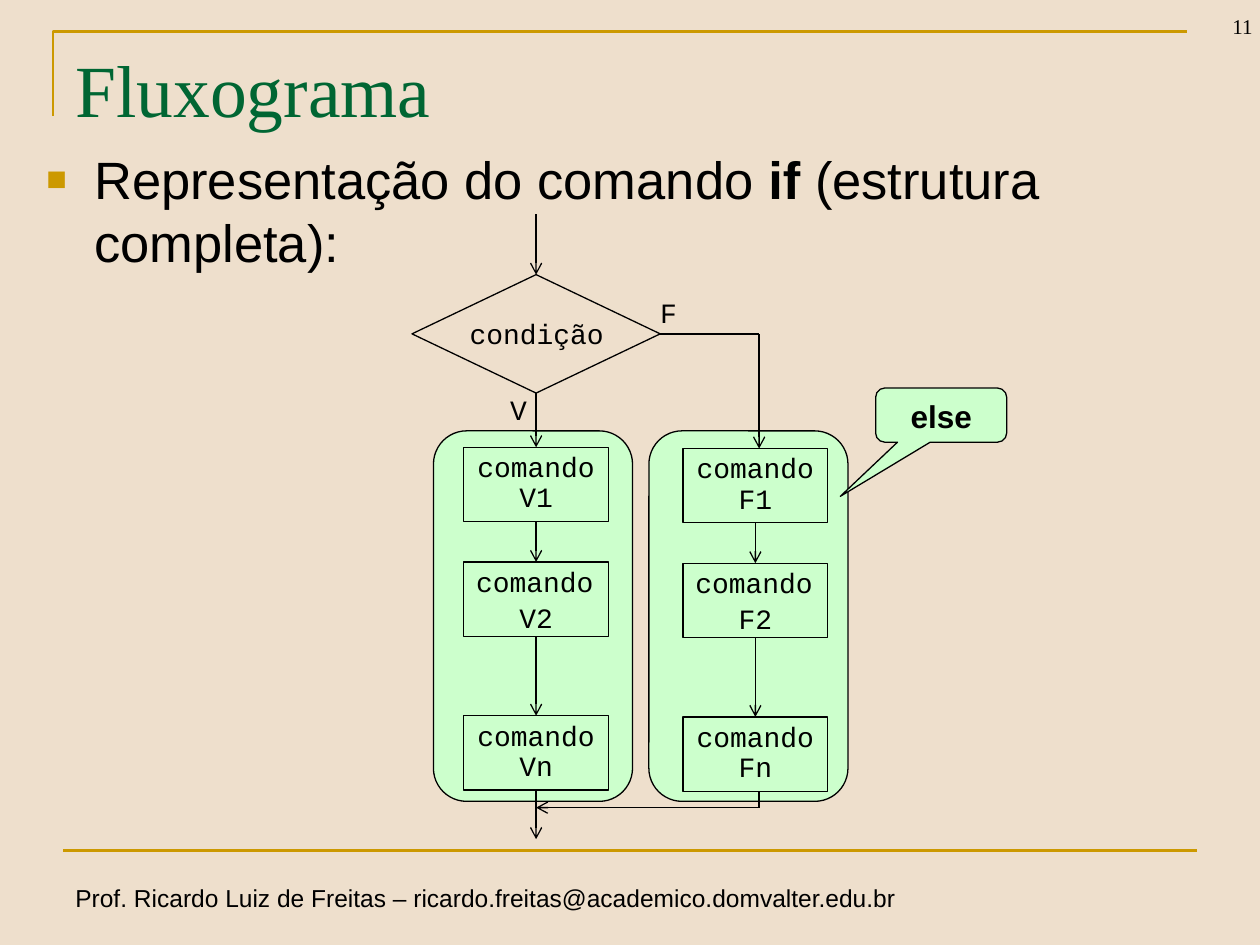
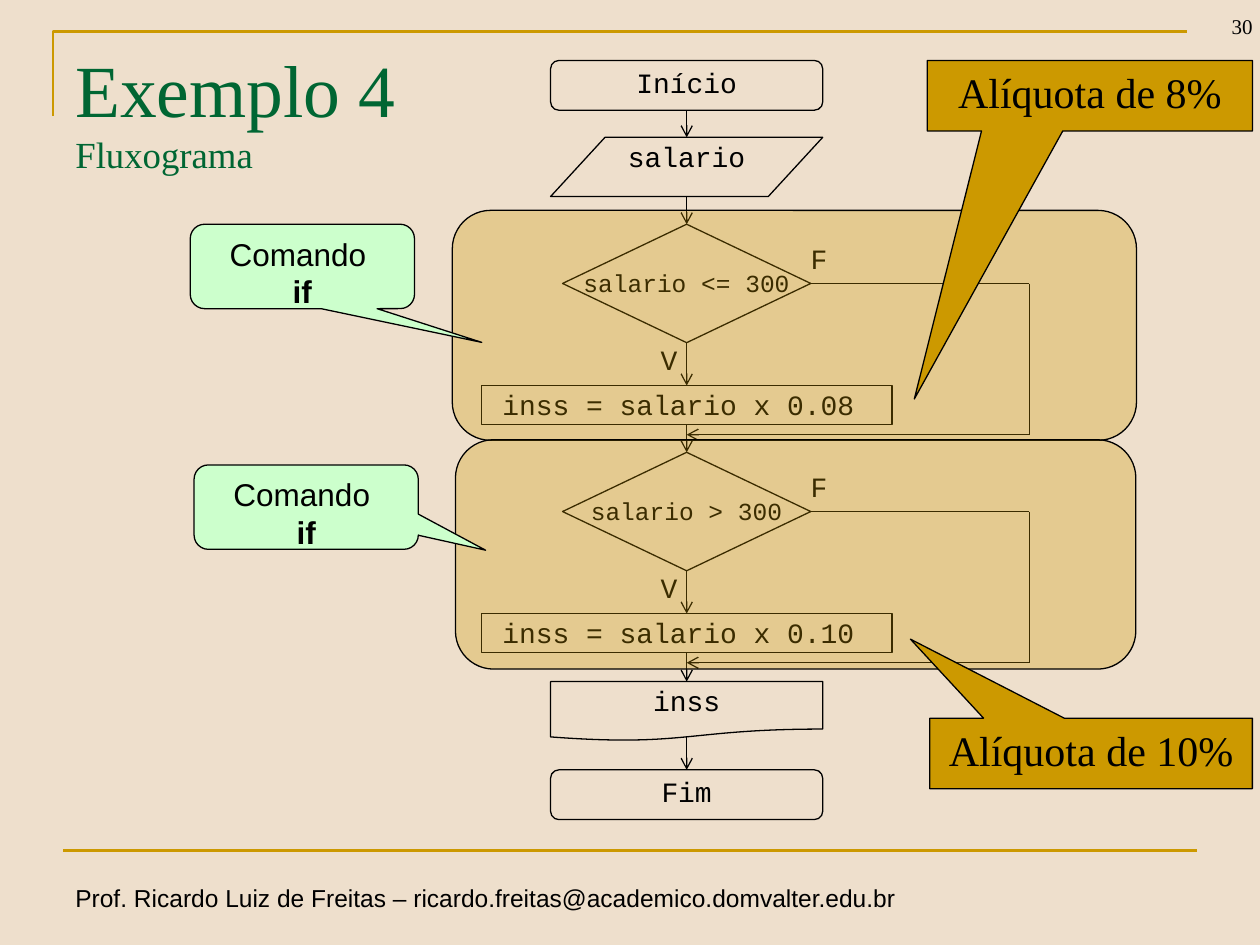
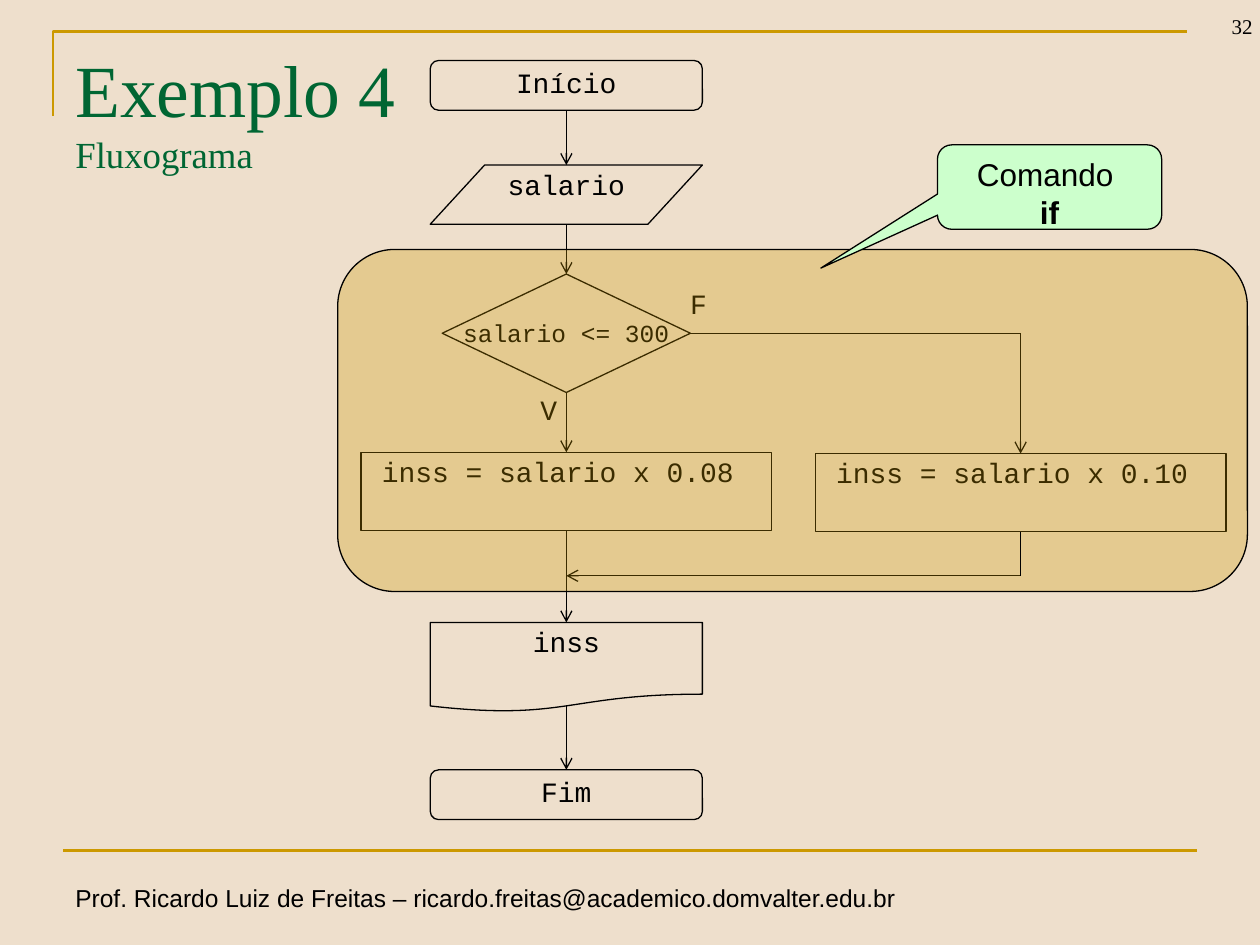
import pptx
import pptx.util
import pptx.dml.color
import pptx.enum.shapes
import pptx.enum.text
import pptx.oxml
import pptx.oxml.ns
import lxml.etree

SAND = pptx.dml.color.RGBColor(0xEE, 0xDF, 0xCC)
GOLD = pptx.dml.color.RGBColor(0xCC, 0x99, 0x00)
GREEN = pptx.dml.color.RGBColor(0x00, 0x66, 0x33)
MINT = pptx.dml.color.RGBColor(0xCC, 0xFF, 0xCC)
BLACK = pptx.dml.color.RGBColor(0x00, 0x00, 0x00)

SANS, MONO, SERIF = "Arial", "Courier New", "Times New Roman"
KIND = pptx.enum.shapes.MSO_SHAPE
ALIGN = pptx.enum.text.PP_ALIGN
TOP, BOTTOM, RIGHT = 0, 2, 3
COLUMNS, ROWS = 100, 75
CELL = pptx.util.Inches(10) / COLUMNS
DIAMOND_WIDTH, DIAMOND_HEIGHT = 19.7, 9.4
FOOTER = "Prof. Ricardo Luiz de Freitas – ricardo.freitas@academico.domvalter.edu.br"


def grid(*cells):
    return [round(cell * CELL) for cell in cells]


def add_xml(parent, tag, **attributes):
    child = lxml.etree.SubElement(parent, pptx.oxml.ns.qn(tag))
    for name, value in attributes.items():
        child.set(name, value)
    return child


def style_para(para, font, size, color=BLACK, align=ALIGN.LEFT, bold=False):
    para.alignment = align
    for span in para.runs:
        span.font.name = font
        span.font.size = pptx.util.Pt(size)
        span.font.color.rgb = color
        span.font.bold = bold


def style_code(para, align=ALIGN.CENTER):
    style_para(para, MONO, 16, align=align)
    para.line_spacing = 0.9
    para.space_before = pptx.util.Pt(3.2)


def add_text(page, left, top, width, height, text, wrap=True):
    box = page.shapes.add_textbox(*grid(left, top, width, height))
    box.text_frame.word_wrap = wrap
    box.text_frame.text = text
    return box.text_frame


def add_label(page, left, top, width, text, wrap=False):
    frame = add_text(page, left, top, width, 3.5, text, wrap)
    style_code(frame.paragraphs[0], ALIGN.LEFT)


def add_outlined(page, kind, left, top, width, height, fill=None, alpha=None):
    shape = page.shapes.add_shape(kind, *grid(left, top, width, height))
    shape.shadow.inherit = False
    shape.line.color.rgb = BLACK
    shape.line.width = pptx.util.Pt(0.75)
    shape.text_frame.vertical_anchor = pptx.enum.text.MSO_ANCHOR.TOP
    if fill is None:
        shape.fill.background()
    else:
        shape.fill.solid()
        shape.fill.fore_color.rgb = fill
    if alpha is not None:
        color = shape.element.spPr.find(".//" + pptx.oxml.ns.qn("a:srgbClr"))
        add_xml(color, "a:alpha", val=str(alpha * 1000))
    return shape


def add_step(page, kind, axis, top, width, height, text):
    step = add_outlined(page, kind, axis - width / 2, top, width, height)
    step.text_frame.text = text
    for para in step.text_frame.paragraphs:
        style_code(para)
    return step


def add_callout(page, kind, area, tip, fill, text, font, size, bold_line=None):
    callout = add_outlined(page, kind, *area, fill=fill)
    for index, value in enumerate(tip):
        callout.adjustments[index] = value
    callout.text_frame.text = text
    for index, para in enumerate(callout.text_frame.paragraphs):
        style_para(para, font, size, align=ALIGN.CENTER, bold=index == bold_line)


def add_if_callout(page, left, top, tip):
    add_callout(page, KIND.ROUNDED_RECTANGULAR_CALLOUT, (left, top, 17.8, 6.7),
                tip, MINT, "Comando \nif", SANS, 18, bold_line=1)


def add_rate_callout(page, left, top, width, tip, text):
    add_callout(page, KIND.RECTANGULAR_CALLOUT, (left, top, width, 5.6),
                tip, GOLD, text, SERIF, 24)


def add_link(page, start, end, arrow=True, color=BLACK, width=0.75):
    joined = [not isinstance(place[0], (int, float)) for place in (start, end)]
    points = [(0, 0) if glued else place for glued, place in zip(joined, (start, end))]
    link = page.shapes.add_connector(
        pptx.enum.shapes.MSO_CONNECTOR.STRAIGHT, *grid(*points[0], *points[1]))
    if joined[0]:
        link.begin_connect(*start)
    if joined[1]:
        link.end_connect(*end)
    link.line.color.rgb = color
    link.line.width = pptx.util.Pt(width)
    outline = link.element.spPr.find(pptx.oxml.ns.qn("a:ln"))
    if arrow:
        add_xml(outline, "a:tailEnd", type="arrow")
    add_xml(link.element.spPr, "a:effectLst")


def add_decision(page, axis, top, false_drop=1.2):
    left = axis - DIAMOND_WIDTH / 2
    diamond = add_outlined(page, KIND.FLOWCHART_DECISION, left, top,
                           DIAMOND_WIDTH, DIAMOND_HEIGHT)
    add_label(page, left + 18.7, top + false_drop, 3.4, "F")
    add_label(page, left + 6.8, top + 9.2, 3.4, "V")
    return diamond


def add_condition(page, axis, top, text):
    frame = add_text(page, axis - 12.85, top + 3.8, 25.7, 2.6, text)
    para = frame.paragraphs[0]
    style_para(para, MONO, 14, align=ALIGN.CENTER)
    para.line_spacing = pptx.util.Pt(11)


def add_frame(page, number):
    footer = add_text(page, 5, 69.6, 68.6, 3.4, FOOTER, wrap=False)
    style_para(footer.paragraphs[0], SANS, 14)
    corner = page.shapes.build_freeform(*grid(4.2, 9.2))
    corner.add_line_segments([grid(4.2, 2.5), grid(94.2, 2.5)], close=False)
    bracket = corner.convert_to_shape()
    bracket.shadow.inherit = False
    bracket.fill.background()
    bracket.line.color.rgb = GOLD
    bracket.line.width = pptx.util.Pt(1.5)
    add_link(page, (5, 67.5), (95, 67.5), arrow=False, color=GOLD, width=1.5)
    counter = add_text(page, 92.9, -1.4, 7.5, 5, str(number))
    counter.vertical_anchor = pptx.enum.text.MSO_ANCHOR.BOTTOM
    style_para(counter.paragraphs[0], SERIF, 12, align=ALIGN.RIGHT)


def add_title(page, title):
    para = add_text(page, 5, 3, 90, 12.5, title).paragraphs[0]
    style_para(para, SERIF, 42, GREEN)
    for subtitle in para.runs[1:]:
        subtitle.font.size = pptx.util.Pt(21)


def add_page(deck, number, title):
    page = deck.slides.add_slide(deck.slide_layouts[6])
    add_frame(page, number)
    add_title(page, title)
    return page


def add_bullet(page, parts):
    para = add_text(page, 2.7, 11.2, 99.3, 9, "").paragraphs[0]
    for text in parts:
        para.add_run().text = text
    style_para(para, SANS, 30)
    para.runs[1].font.bold = True
    para.space_before = pptx.util.Pt(6)
    properties = para._p.get_or_add_pPr()
    indent = pptx.util.Inches(0.38)
    properties.set("marL", str(indent))
    properties.set("indent", str(-indent))
    add_xml(add_xml(properties, "a:buClr"), "a:srgbClr", val=str(GOLD))
    add_xml(properties, "a:buSzPct", val="65000")
    add_xml(properties, "a:buFont", typeface=SANS)
    add_xml(properties, "a:buChar", char="■")


def add_branch(page, axis, top, letter):
    texts = [f"comando {letter}1", f"comando\n{letter}2", f"comando {letter}n"]
    steps = [add_step(page, KIND.RECTANGLE, axis, top + drop, 11.5, 5.9, text)
             for drop, text in zip((0, 9.1, 21.3), texts)]
    steps[1].text_frame.paragraphs[0].alignment = ALIGN.LEFT
    for upper, lower in zip(steps, steps[1:]):
        add_link(page, (upper, BOTTOM), (lower, TOP))
    return steps


def add_terminals(page, axis, input_top, decision_top):
    kind = KIND.FLOWCHART_ALTERNATE_PROCESS
    start = add_step(page, kind, axis, 4.8, 21.6, 3.95, "Início")
    end = add_step(page, kind, axis, 61.1, 21.6, 3.95, "Fim")
    add_step(page, KIND.FLOWCHART_DATA, axis, input_top, 21.6, 4.7, "salario")
    add_link(page, (start, BOTTOM), (axis, input_top))
    add_link(page, (axis, input_top + 4.7), (axis, decision_top))
    return end


def add_output(page, axis, top, height, end):
    output = add_step(page, KIND.FLOWCHART_DOCUMENT, axis, top, 21.6, height, "inss")
    add_link(page, (axis, top + height * 0.934), (end, TOP))
    return output


def add_formula(page, axis, top, height, rate):
    return add_step(page, KIND.FLOWCHART_PROCESS, axis, top, 32.6, height,
                    f"inss = salario x {rate} ")


def add_panel(page, left, top, width, height):
    add_outlined(page, KIND.FLOWCHART_ALTERNATE_PROCESS, left, top, width, height,
                 fill=GOLD, alpha=29)


def add_single_if(page, axis, top, condition, rate):
    far = 81.7
    diamond = add_decision(page, axis, top)
    add_condition(page, axis, top, condition)
    formula = add_formula(page, axis, top + 12.8, 3.1, rate)
    add_link(page, (diamond, BOTTOM), (formula, TOP))
    add_link(page, (diamond, RIGHT), (far, top + 4.7), arrow=False)
    add_link(page, (far, top + 4.7), (far, top + 16.7), arrow=False)
    add_link(page, (far, top + 16.7), (axis, top + 16.7))
    return diamond, formula


def build_if_else_page(deck):
    page = add_page(deck, 11, "Fluxograma")
    axis, false_axis, entry = 42.55, 59.95, 60.25
    for left in (51.5, 34.4):
        add_outlined(page, KIND.ROUNDED_RECTANGLE, left, 34.2, 15.8, 29.4, fill=MINT)
    add_callout(page, KIND.ROUNDED_RECTANGULAR_CALLOUT, (69.5, 30.8, 10.4, 4.3),
                (-0.77, 1.5, 0.17), MINT, "else", SANS, 18, bold_line=0)
    add_bullet(page, ["Representação do comando ", "if", " (estrutura completa):"])
    diamond = add_decision(page, axis, 21.8, false_drop=1.5)
    add_label(page, 36.3, 24.9, 13.4, "condição", wrap=True)
    true_steps = add_branch(page, axis, 35.5, "V")
    add_branch(page, false_axis, 35.6, "F")
    add_link(page, (axis, 17), (diamond, TOP))
    add_link(page, (diamond, BOTTOM), (true_steps[0], TOP))
    add_link(page, (true_steps[-1], BOTTOM), (axis, 66.6))
    add_link(page, (diamond, RIGHT), (entry, 26.5), arrow=False)
    add_link(page, (entry, 26.5), (entry, 35.6))
    add_link(page, (entry, 62.8), (entry, 64.1), arrow=False)
    add_link(page, (entry, 64.1), (axis, 64.1))


def build_two_ifs_page(deck):
    page = add_page(deck, 30, "Exemplo 4 \vFluxograma")
    axis, first_top, second_top = 54.5, 17.8, 35.9
    end = add_terminals(page, axis, 10.9, first_top)
    output = add_output(page, axis, 54.1, 4.7, end)
    _, first_formula = add_single_if(page, axis, first_top, "salario <= 300", "0.08")
    second, second_formula = add_single_if(page, axis, second_top, "salario > 300", "0.10")
    add_link(page, (first_formula, BOTTOM), (second, TOP))
    add_link(page, (second_formula, BOTTOM), (output, TOP))
    add_panel(page, 35.9, 16.7, 54.3, 18.25)
    add_panel(page, 36.15, 34.9, 54, 18.2)
    add_rate_callout(page, 73.6, 4.8, 25.8, (-0.54, 4.3), "Alíquota de 8%")
    add_rate_callout(page, 73.8, 57, 25.6, (-0.56, -1.62), "Alíquota de 10%")
    add_if_callout(page, 15.1, 17.8, (0.8, 0.9, 0.17))
    add_if_callout(page, 15.4, 36.9, (0.8, 0.51, 0.17))


def build_one_if_page(deck):
    page = add_page(deck, 32, "Exemplo 4 \vFluxograma")
    axis, false_axis, top = 44.95, 81, 21.75
    end = add_terminals(page, axis, 13.1, top)
    output = add_output(page, axis, 49.4, 7.1, end)
    diamond = add_decision(page, axis, top, false_drop=0.8)
    add_condition(page, axis, top, "salario <= 300")
    true_formula = add_formula(page, axis, 35.9, 6.2, "0.08")
    false_formula = add_formula(page, false_axis, 36, 6.2, "0.10")
    add_link(page, (diamond, BOTTOM), (true_formula, TOP))
    add_link(page, (true_formula, BOTTOM), (output, TOP))
    add_link(page, (diamond, RIGHT), (false_axis, top + 4.7), arrow=False)
    add_link(page, (false_axis, top + 4.7), (false_formula, TOP))
    add_link(page, (false_axis, 45.7), (axis, 45.7))
    add_panel(page, 26.8, 19.8, 72.2, 27.15)
    add_link(page, (false_formula, BOTTOM), (false_axis, 45.7), arrow=False)
    add_if_callout(page, 74.4, 11.5, (-1.02, 0.96, 0.17))


def main():
    deck = pptx.Presentation()
    deck.slide_width, deck.slide_height = grid(COLUMNS, ROWS)
    background = deck.slide_master.background.fill
    background.solid()
    background.fore_color.rgb = SAND
    build_if_else_page(deck)
    build_two_ifs_page(deck)
    build_one_if_page(deck)
    deck.save("out.pptx")


if __name__ == "__main__":
    main()
